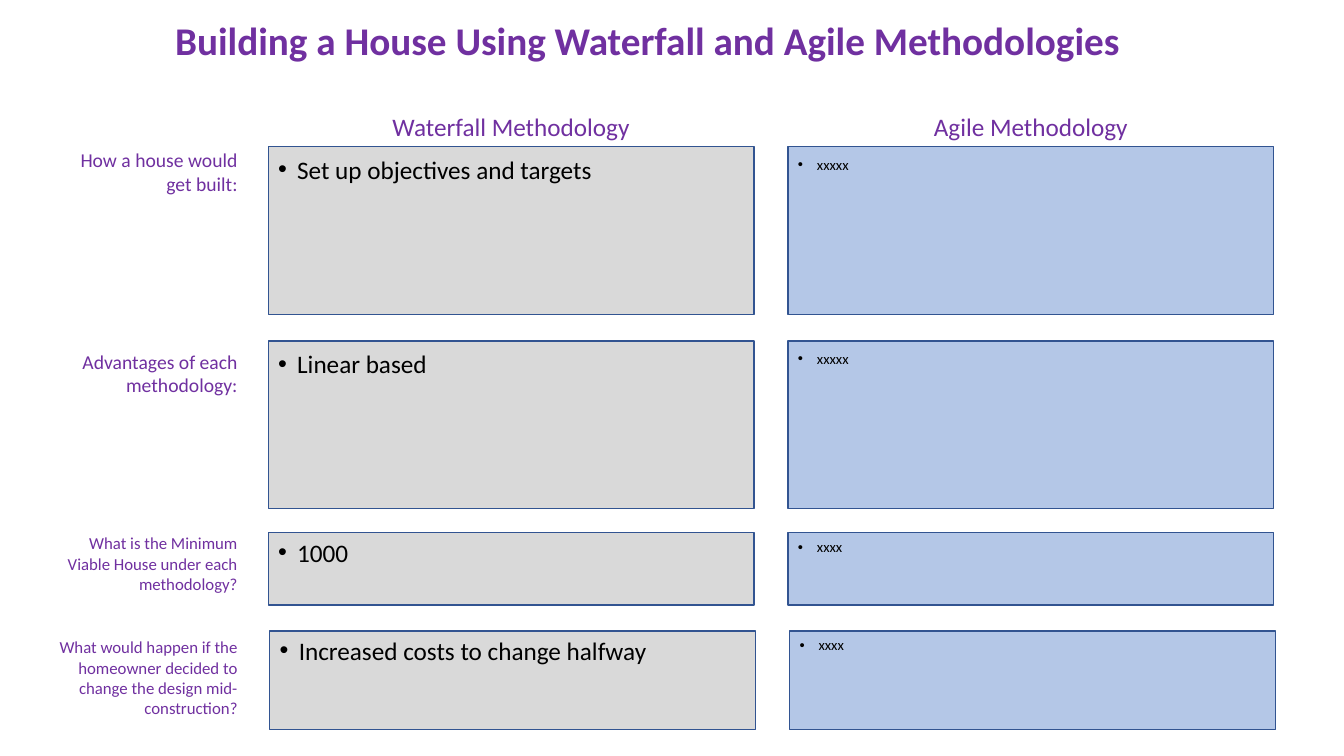
from typing import NamedTuple

from lxml import etree
from pptx import Presentation
from pptx import util as u
from pptx.dml.color import RGBColor
from pptx.enum import shapes, text
from pptx.oxml import ns

PURPLE = RGBColor(0x70, 0x30, 0xA0)
BLACK = RGBColor(0, 0, 0)
GREY = RGBColor(0xD9, 0xD9, 0xD9)
BLUE = RGBColor(0xB4, 0xC7, 0xE7)
EDGE = RGBColor(0x32, 0x54, 0x91)
FONT = "Calibri"
INDENT = u.Cm(0.48)
ALIGN = text.PP_ALIGN
RIGHT = 6.24


class Column(NamedTuple):
    head: str
    left: float
    fill: RGBColor
    size: float
    drop: float


class Row(NamedTuple):
    label: str
    size: float
    width: float
    label_top: float
    label_tall: float
    top: float
    tall: float
    note_top: float
    shift: float
    notes: tuple[str, str]


COLUMNS = (
    Column("Waterfall Methodology", 6.76, GREY, 18, 0),
    Column("Agile Methodology", 19.86, BLUE, 10.5, 0.03),
)
ROWS = (
    Row("How a house would get built:", 14, 4.72, 3.61, 1.45,
        3.7, 4.22, 3.76, 0, ("Set up objectives and targets", "xxxxx")),
    Row("Advantages of each methodology:", 14, 5.28, 8.69, 1.45,
        8.59, 4.22, 8.66, 0, ("Linear based", "xxxxx")),
    Row("What is the Minimum Viable House under each methodology?", 12, 5.28, 13.31, 1.8,
        13.42, 1.83, 13.41, 0, ("1000", "xxxx")),
    Row("What would happen if the homeowner decided to change the design mid-construction?",
        12, 5.28, 15.93, 2.31,
        15.9, 2.49, 15.88, 0.04, ("Increased costs to change halfway", "xxxx")),
)


def write(shape, words: str, *, size: float, color: RGBColor = PURPLE,
          align=ALIGN.LEFT, bold: bool = False, bullet: bool = False) -> None:
    frame = shape.text_frame
    frame.word_wrap = True
    frame.auto_size = text.MSO_AUTO_SIZE.SHAPE_TO_FIT_TEXT
    frame.vertical_anchor = text.MSO_ANCHOR.TOP
    para = frame.paragraphs[0]
    para.alignment = align
    run = para.add_run()
    run.text = words
    font = run.font
    font.name, font.size, font.bold = FONT, u.Pt(size), bold
    font.color.rgb = color
    if bullet:
        props = para._p.get_or_add_pPr()
        props.set("marL", str(INDENT))
        props.set("indent", str(-INDENT))
        etree.SubElement(props, ns.qn("a:buFont"), typeface="Arial")
        etree.SubElement(props, ns.qn("a:buChar"), char="•")


def area(left: float, top: float, width: float, tall: float) -> tuple:
    return u.Cm(left), u.Cm(top), u.Cm(width), u.Cm(tall)


def label(slide, place: tuple, words: str, **style) -> None:
    write(slide.shapes.add_textbox(*place), words, **style)


def panel(slide, place: tuple, fill: RGBColor) -> None:
    box = slide.shapes.add_shape(shapes.MSO_SHAPE.RECTANGLE, *place)
    box.shadow.inherit = False
    box.fill.solid()
    box.fill.fore_color.rgb = fill
    box.line.color.rgb = EDGE
    box.line.width = u.Pt(1)


deck = Presentation()
deck.slide_width, deck.slide_height = u.Cm(33.87), u.Cm(19.05)
slide = deck.slides.add_slide(deck.slide_layouts[5])

title = slide.shapes.title
title.left, title.top, title.width, title.height = area(2.34, 0.28, 27.94, 1.45)
write(title, "Building a House Using Waterfall and Agile Methodologies",
      size=28, align=ALIGN.CENTER, bold=True)

for col in COLUMNS:
    label(slide, area(col.left + 1.79, 2.67, 8.66, 1.02), col.head,
          size=18, align=ALIGN.CENTER)

for row in ROWS:
    label(slide, area(RIGHT - row.width, row.label_top, row.width, row.label_tall),
          row.label, size=row.size, align=ALIGN.RIGHT)
    for col, note in zip(COLUMNS, row.notes):
        left = col.left + row.shift
        panel(slide, area(left, row.top, 12.24, row.tall), col.fill)
        label(slide, area(left, row.note_top + col.drop, 11.68, 1.02), note,
              size=col.size, color=BLACK, bullet=True)

deck.save("out.pptx")
